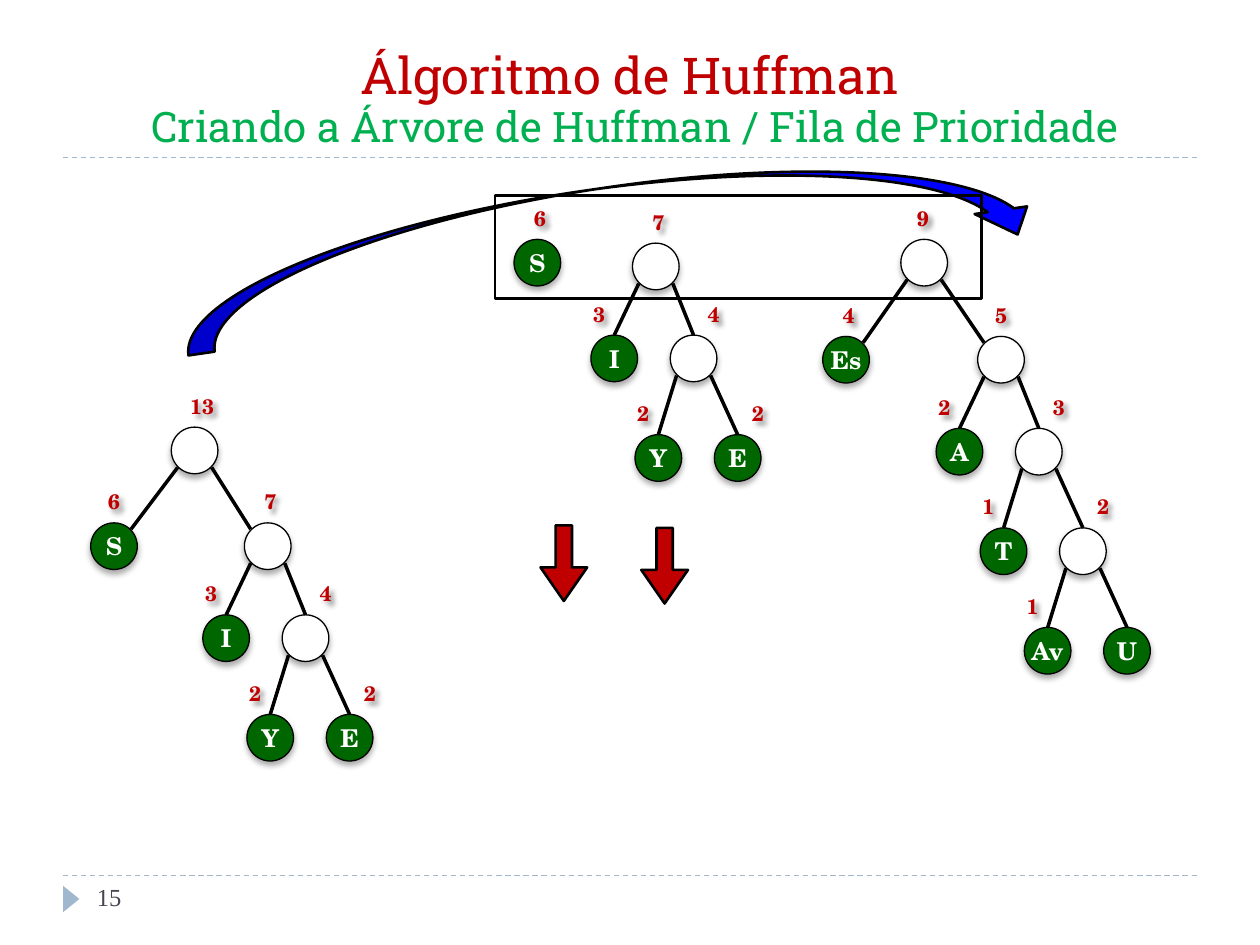
from dataclasses import dataclass

from lxml import etree
from pptx import Presentation
from pptx.dml.color import RGBColor
from pptx.enum.dml import MSO_LINE
from pptx.enum.shapes import MSO_CONNECTOR, MSO_SHAPE
from pptx.enum.text import MSO_ANCHOR, PP_ALIGN
from pptx.oxml.ns import qn
from pptx.util import Pt

PX = 9144  # EMU per px, 100 px to the inch
STRAIGHT = MSO_CONNECTOR.STRAIGHT
DASH = MSO_LINE.DASH
OVAL, RECT, TRIANGLE = MSO_SHAPE.OVAL, MSO_SHAPE.RECTANGLE, MSO_SHAPE.ISOSCELES_TRIANGLE
DOWN_ARROW, CURVED_ARROW = MSO_SHAPE.DOWN_ARROW, MSO_SHAPE.CURVED_LEFT_ARROW
LEFT, CENTER = PP_ALIGN.LEFT, PP_ALIGN.CENTER
TOP, MIDDLE, BOTTOM = MSO_ANCHOR.TOP, MSO_ANCHOR.MIDDLE, MSO_ANCHOR.BOTTOM


@dataclass(frozen=True)
class Theme:
    red: str = "C00000"
    title_green: str = "00B050"
    leaf: str = "006600"
    blue: str = "0000FF"
    rule: str = "9FB8CD"
    number: str = "464653"
    black: str = "000000"
    white: str = "FFFFFF"
    title_font: str = "Roboto Slab"
    tree_font: str = "TeX Gyre Schola"
    number_font: str = "Times New Roman"
    title_size: int = 29
    subtitle_size: int = 24
    letter_size: int = 14
    weight_size: int = 12
    thin: float = 0.75
    outline: float = 1.5
    edge: float = 2


@dataclass(frozen=True)
class Shadow:
    blur: float
    distance: float
    angle: int
    opacity: int


@dataclass(frozen=True)
class Node:
    """A tree node; dx and dy are its offset from its parent."""
    dx: int
    dy: int
    weight: str = ""
    letter: str = ""
    label_dx: int = 0
    children: tuple["Node", ...] = ()
    wide: bool = False  # edges reach the shoulders of the children


T = Theme()
NODE_SHADOW = Shadow(3.5, 2.2, 90, 32)
LABEL_SHADOW = Shadow(3, 3, 45, 43)
NODE = 37
NEAR, FAR = 5, 32  # 45° points of a node's circle
LABEL_W, LABEL_H, LABEL_RISE = 41, 30, 32
LABEL_SIDE = 14


def pair(left: tuple[str, str], right: tuple[str, str], children: tuple[Node, ...] = (),
         upper: bool = False) -> tuple[Node, Node]:
    """Two sibling nodes given as (weight, letter); the children hang on the right one."""
    left_dx, right_dx, dy = (-33, 30, 73) if upper else (-28, 35, 79)
    return (Node(left_dx, dy, *left, -LABEL_SIDE),
            Node(right_dx, dy, *right, LABEL_SIDE, children))


YE = pair(("2", "Y"), ("2", "E"))
IYE = pair(("3", "I"), ("4", ""), YE, upper=True)
AV_U = pair(("1", "Av"), ("", "U"))
T_AV_U = pair(("1", "T"), ("2", ""), AV_U)
A_T_AV_U = pair(("2", "A"), ("3", ""), T_AV_U, upper=True)

LONE_LEAF = Node(408, 190, "6", "S")
TREES = (
    Node(502, 193, "7", children=IYE),
    Node(715, 190, "9", label_dx=-3, wide=True, children=(
        Node(-62, 77, "4", "Es"), Node(61, 77, "5", label_dx=-2, children=A_T_AV_U))),
    Node(136, 339, "13", label_dx=4, wide=True, children=(
        Node(-64, 76, "6", "S", -2), Node(58, 76, "7", children=IYE))),
)


def rgb(color: str) -> RGBColor:
    return RGBColor.from_string(color)


def set_shadow(sp, shadow: Shadow) -> None:
    sp.shadow.inherit = False
    effects = sp._element.spPr.find(qn("a:effectLst"))
    outer = etree.SubElement(effects, qn("a:outerShdw"), blurRad=str(Pt(shadow.blur)),
                             dist=str(Pt(shadow.distance)), dir=str(shadow.angle * 60000))
    color = etree.SubElement(outer, qn("a:srgbClr"), val=T.black)
    etree.SubElement(color, qn("a:alpha"), val=str(shadow.opacity * 1000))


def add_shape(shapes, kind, x: int, y: int, w: int, h: int, fill: str = "",
              line: float = 0, rotation: float = 0):
    sp = shapes.add_shape(kind, x * PX, y * PX, w * PX, h * PX)
    sp.shadow.inherit = False
    sp.rotation = rotation
    if fill:
        sp.fill.solid()
        sp.fill.fore_color.rgb = rgb(fill)
    else:
        sp.fill.background()
    if line:
        sp.line.color.rgb = rgb(T.black)
        sp.line.width = Pt(line)
    else:
        sp.line.fill.background()
    return sp


def add_line(shapes, x1: int, y1: int, x2: int, y2: int, color: str, width: float):
    ln = shapes.add_connector(STRAIGHT, x1 * PX, y1 * PX, x2 * PX, y2 * PX)
    ln.line.color.rgb = rgb(color)
    ln.line.width = Pt(width)
    etree.SubElement(ln._element.spPr, qn("a:effectLst"))
    return ln


def set_font(font, name: str, size: int, color: str, bold: bool = False) -> None:
    font.name, font.size, font.bold = name, Pt(size), bold
    font.color.rgb = rgb(color)


def set_frame(sp, anchor, align, inset_x: int = 0, inset_y: int = 0):
    """Lay out the text frame and return its first paragraph."""
    tf = sp.text_frame
    tf.word_wrap = True
    tf.vertical_anchor = anchor
    tf.margin_left = tf.margin_right = inset_x * PX
    tf.margin_top = tf.margin_bottom = inset_y * PX
    p = tf.paragraphs[0]
    p.alignment = align
    return p


def add_box(shapes, x: int, y: int, w: int, h: int):
    return shapes.add_textbox(x * PX, y * PX, w * PX, h * PX)


def draw_tree(shapes, node: Node, x: int, y: int):
    sp = add_shape(shapes, OVAL, x, y, NODE, NODE, T.leaf if node.letter else T.white, T.thin)
    set_shadow(sp, NODE_SHADOW)
    if node.letter:
        p = set_frame(sp, MIDDLE, CENTER)
        p.text = node.letter
        set_font(p.font, T.tree_font, T.letter_size, T.white, True)
    if node.weight:
        label = add_box(shapes, x + node.label_dx, y - LABEL_RISE, LABEL_W, LABEL_H)
        set_shadow(label, LABEL_SHADOW)
        p = set_frame(label, MIDDLE, CENTER)
        p.text = node.weight
        set_font(p.font, T.tree_font, T.weight_size, T.red, True)
    for child in node.children:
        cx, cy = x + child.dx, y + child.dy
        child_sp = draw_tree(shapes, child, cx, cy)
        parent_side, child_side = (NEAR, FAR) if child.dx < 0 else (FAR, NEAR)
        edge = add_line(shapes, cx + child_side, cy + NEAR, x + parent_side, y + FAR,
                        T.black, T.edge)
        if not node.wide:
            edge.begin_connect(child_sp, 0)
    return sp


def draw_title(shapes) -> None:
    p = set_frame(add_box(shapes, 50, 25, 900, 100), BOTTOM, CENTER, 10, 5)
    p.line_spacing = 0.9
    r = p.add_run()
    r.text = "Álgoritmo de Huffman"
    set_font(r.font, T.title_font, T.title_size, T.red)
    p.add_line_break()
    r = p.add_run()
    r.text = " Criando a Árvore de Huffman / Fila de Prioridade"
    set_font(r.font, T.title_font, T.subtitle_size, T.title_green)


def main() -> None:
    prs = Presentation()
    prs.slide_width, prs.slide_height = 1000 * PX, 750 * PX
    shapes = prs.slides.add_slide(prs.slide_layouts[6]).shapes

    for y in (695, 125):
        add_line(shapes, 50, y, 950, y, T.rule, T.thin).line.dash_style = DASH
    add_shape(shapes, TRIANGLE, 46, 707, 21, 13, T.rule, rotation=90)
    draw_title(shapes)
    p = set_frame(add_box(shapes, 67, 695, 217, 40), TOP, LEFT, 10, 5)
    p.text = "15"
    set_font(p.font, T.number_font, T.letter_size, T.number)

    draw_tree(shapes, LONE_LEAF, LONE_LEAF.dx, LONE_LEAF.dy)
    for root in TREES:
        draw_tree(shapes.add_group_shape().shapes, root, root.dx, root.dy)

    for x, y in ((429, 417), (509, 419)):
        sp = add_shape(shapes, DOWN_ARROW, x, y, 37, 60, T.red, T.outline)
        sp.adjustments[0], sp.adjustments[1] = 0.35, 0.72
    add_shape(shapes, CURVED_ARROW, 441, -152, 84, 686, T.blue, T.outline, 261.7)
    add_shape(shapes, RECT, 393, 155, 386, 82, line=T.outline)

    prs.save("out.pptx")


if __name__ == "__main__":
    main()
